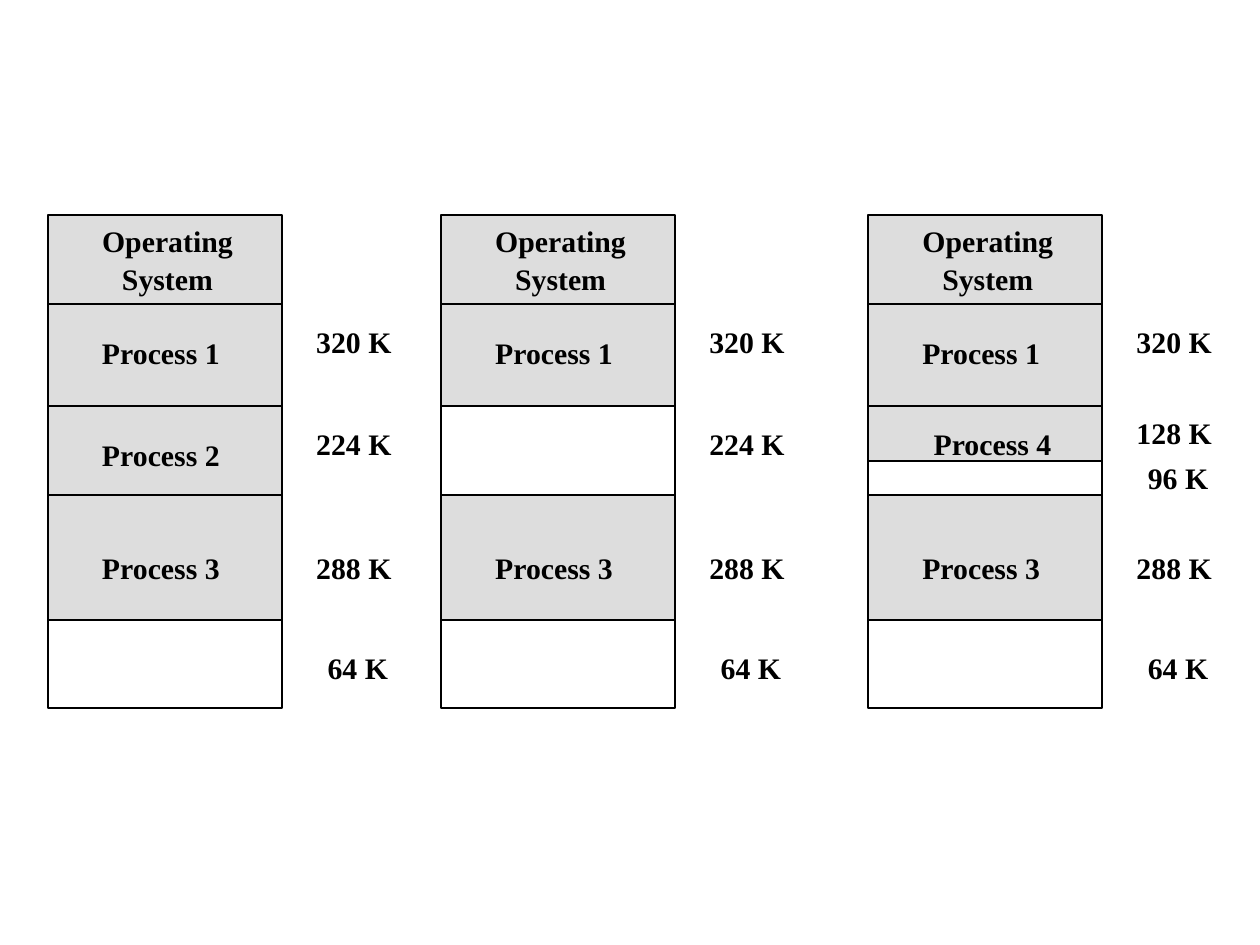
from itertools import groupby

from lxml import etree
from pptx import Presentation
from pptx.dml.color import RGBColor
from pptx.enum.shapes import MSO_CONNECTOR, MSO_SHAPE
from pptx.enum.text import MSO_ANCHOR, PP_ALIGN
from pptx.oxml.ns import qn
from pptx.util import Inches, Pt

RECT = MSO_SHAPE.RECTANGLE
STRAIGHT = MSO_CONNECTOR.STRAIGHT
TOP = MSO_ANCHOR.TOP
LEFT, CENTER = PP_ALIGN.LEFT, PP_ALIGN.CENTER

THEME = {
    "font": "Times New Roman",
    "size": Pt(17),
    "ink": RGBColor(0, 0, 0),
    "used": RGBColor(0xDD, 0xDD, 0xDD),
    "line": Pt(1.13),
    "leading": Pt(1.3),
}

# Block: top, bottom, in use, (label, indent, label top), (size, size top)
OS = (1.71, 2.41, True, ("Operating\nSystem", 0.43, 1.77), None)
PROCESS_1 = (2.41, 3.22, True, ("Process 1", 0.43, 2.66), ("320 K", 2.57))
PROCESS_2 = (3.22, 3.93, True, ("Process 2", 0.43, 3.47), ("224 K", 3.38))
HOLE_224 = (3.22, 3.93, False, None, ("224 K", 3.38))
PROCESS_4 = (3.22, 3.66, True, ("Process 4", 0.52, 3.38), ("128 K", 3.29))
HOLE_96 = (3.66, 3.93, False, None, ("96 K", 3.65))
PROCESS_3 = (3.93, 4.92, True, ("Process 3", 0.43, 4.36), ("288 K", 4.36))
HOLE_64 = (4.92, 5.62, False, None, ("64 K", 5.16))

MEMORY_MAPS = [
    (0.38, [OS, PROCESS_1, PROCESS_2, PROCESS_3, HOLE_64]),
    (3.50, [OS, PROCESS_1, HOLE_224, PROCESS_3, HOLE_64]),
    (6.89, [OS, PROCESS_1, PROCESS_4, HOLE_96, PROCESS_3, HOLE_64]),
]
MAP_WIDTH = 1.86
LABEL_WIDTH = 1.04
SIZE_INDENT = 2.13
SHORT_SIZE_INDENT = 2.22
SIZE_WIDTH = 0.6
LINE_HEIGHT = 0.28


def add_rect(s, x, top, bottom, fill=None):
    sp = s.shapes.add_shape(RECT, Inches(x), Inches(top),
                            Inches(MAP_WIDTH), Inches(bottom - top))
    sp.shadow.inherit = False
    if fill is None:
        sp.fill.background()
        sp.line.color.rgb = THEME["ink"]
        sp.line.width = THEME["line"]
    else:
        sp.fill.solid()
        sp.fill.fore_color.rgb = fill
        sp.line.fill.background()


def add_divider(s, x, y):
    line = s.shapes.add_connector(STRAIGHT, Inches(x), Inches(y),
                                  Inches(x + MAP_WIDTH), Inches(y))
    line.line.color.rgb = THEME["ink"]
    line.line.width = THEME["line"]
    etree.SubElement(line._element.spPr, qn("a:effectLst"))


def add_text(s, text, x, y, width):
    lines = text.split("\n")
    box = s.shapes.add_textbox(Inches(x), Inches(y), Inches(width),
                               Inches(LINE_HEIGHT * len(lines)))
    tf = box.text_frame
    tf.margin_left = tf.margin_right = tf.margin_top = tf.margin_bottom = 0
    tf.word_wrap = True
    tf.vertical_anchor = TOP
    tf.text = text
    for i, p in enumerate(tf.paragraphs):
        p.alignment = CENTER if len(lines) > 1 else LEFT
        if i:
            p.space_before = THEME["leading"]
        for r in p.runs:
            r.font.name = THEME["font"]
            r.font.size = THEME["size"]
            r.font.bold = True
            r.font.color.rgb = THEME["ink"]


def add_memory_map(s, x, blocks):
    for used, group in groupby(blocks, key=lambda block: block[2]):
        group = list(group)
        if used:
            add_rect(s, x, group[0][0], group[-1][1], THEME["used"])
    add_rect(s, x, blocks[0][0], blocks[-1][1])
    for top, *_ in blocks[1:]:
        add_divider(s, x, top)
    for _, _, _, label, size in blocks:
        if label:
            text, indent, y = label
            add_text(s, text, x + indent, y, LABEL_WIDTH)
        if size:
            text, y = size
            indent = SIZE_INDENT if len(text) == 5 else SHORT_SIZE_INDENT
            add_text(s, text, x + indent, y, SIZE_WIDTH)


def main():
    prs = Presentation()
    prs.slide_width, prs.slide_height = Inches(10), Inches(7.5)
    s = prs.slides.add_slide(prs.slide_layouts[6])
    for x, blocks in MEMORY_MAPS:
        add_memory_map(s, x, blocks)
    prs.save("out.pptx")


if __name__ == "__main__":
    main()
